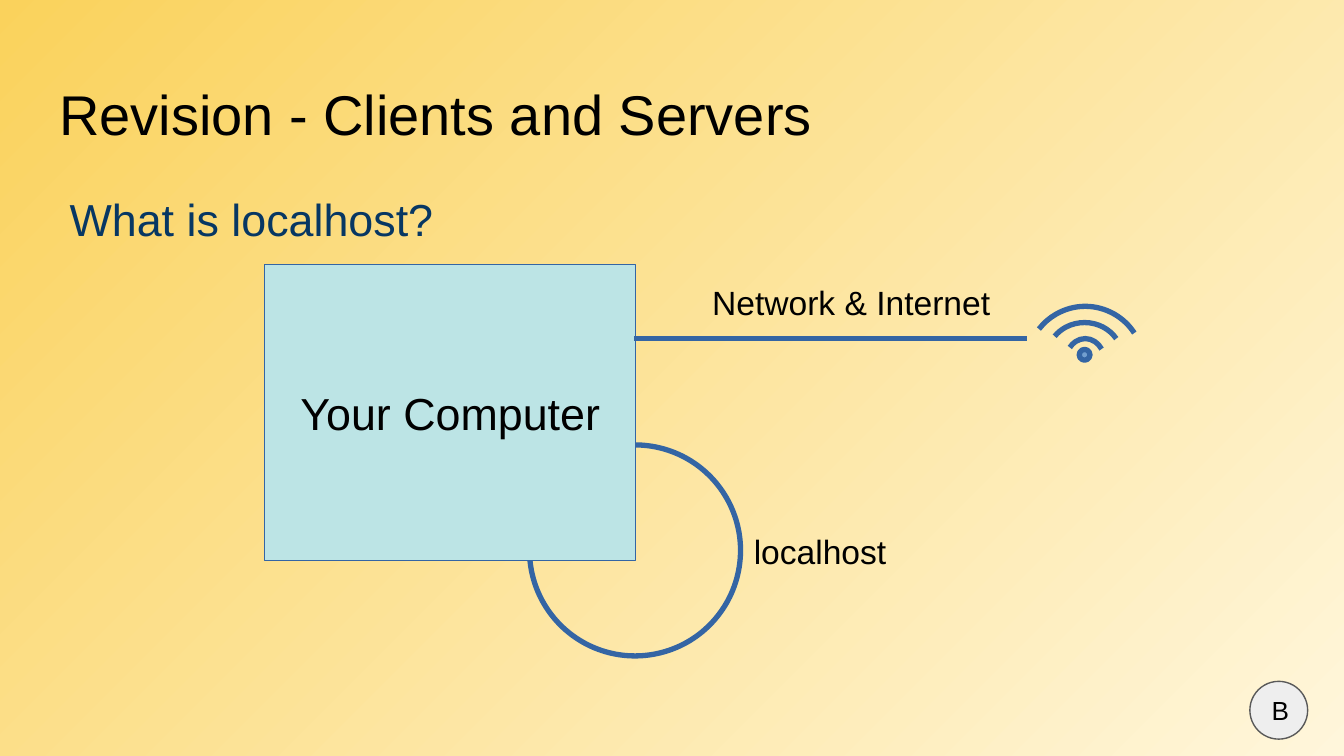
from pptx import Presentation
from pptx.dml.color import RGBColor
from pptx.enum import shapes, text
from pptx.oxml.ns import qn
from pptx.util import Inches, Pt
from lxml import etree

CREAM = RGBColor(0xFF, 0xF6, 0xDB)
AMBER = RGBColor(0xFA, 0xD2, 0x5C)
NAVY = RGBColor(0x07, 0x37, 0x63)
BLACK = RGBColor(0, 0, 0)
BLUE = RGBColor(0x34, 0x65, 0xA4)
LIGHT_BLUE = RGBColor(0x72, 0x9F, 0xCF)
AQUA = RGBColor(0xBC, 0xE4, 0xE5)
PALE_GRAY = RGBColor(0xEE, 0xEE, 0xEE)
DARK_GRAY = RGBColor(0x59, 0x59, 0x59)
THICK, THIN = 2.83, 0.75
SHAPE = shapes.MSO_SHAPE

prs = Presentation()
prs.slide_width = Inches(10)
prs.slide_height = Inches(10) * 9 // 16
s = prs.slides.add_slide(prs.slide_layouts[5])

bg = s.background.fill
bg.gradient()
bg.gradient_angle = 135
for stop, color in zip(bg.gradient_stops, (CREAM, AMBER)):
    stop.color.rgb = color


def add_shape(kind, box, fill, line, width):
    sp = s.shapes.add_shape(kind, *map(Inches, box))
    sp.shadow.inherit = False
    if fill is None:
        sp.fill.background()
    else:
        sp.fill.solid()
        sp.fill.fore_color.rgb = fill
    sp.line.color.rgb = line
    sp.line.width = Pt(width)
    return sp


def write(sp, words, size, color=BLACK, pad=0.05, align=text.PP_ALIGN.LEFT,
          anchor=text.MSO_ANCHOR.TOP):
    tf = sp.text_frame
    tf.word_wrap = True
    tf.auto_size = text.MSO_AUTO_SIZE.NONE
    tf.vertical_anchor = anchor
    tf.margin_left = tf.margin_right = Inches(0.1)
    tf.margin_top = tf.margin_bottom = Inches(pad)
    p = tf.paragraphs[0]
    p.alignment = align
    r = p.add_run()
    r.text = words
    r.font.name = "Arial"
    r.font.size = Pt(size)
    r.font.color.rgb = color


# Title
title = s.shapes.title
title.left, title.top, title.width, title.height = map(Inches, (0.34, 0.49, 9.32, 0.63))
write(title, "Revision - Clients and Servers", 30, pad=0.1)

# Loop back to the computer, partly hidden behind it
loop = add_shape(SHAPE.ARC, (3.94, 3.31, 1.57, 1.57), None, BLUE, THICK)
loop.adjustments[0], loop.adjustments[1] = 214.69, 161.41
loop.rotation = 267.9

# Text boxes
for box, words, size, color, pad in (
    ((0.42, 1.33, 9.32, 3.74), "What is localhost?", 24, NAVY, 0.1),
    ((5.2, 2.05, 2.28, 0.39), "Network & Internet", 18, BLACK, 0.05),
    ((5.51, 3.9, 2.28, 0.39), "localhost", 18, BLACK, 0.05),
):
    write(s.shapes.add_textbox(*map(Inches, box)), words, size, color, pad)

# Computer and its network line
computer = add_shape(SHAPE.RECTANGLE, (1.97, 1.97, 2.76, 2.2), AQUA, BLUE, THIN)
write(computer, "Your Computer", 24, align=text.PP_ALIGN.CENTER,
      anchor=text.MSO_ANCHOR.MIDDLE)

network = s.shapes.add_connector(shapes.MSO_CONNECTOR.STRAIGHT,
                                 *map(Inches, (4.72, 2.52, 7.64, 2.52)))
network.line.color.rgb = BLUE
network.line.width = Pt(THICK)
etree.SubElement(network._element.spPr, qn("a:effectLst"))

# Wireless signal: three waves above a dot
for box, start, end in (
    ((7.64, 2.28, 0.87, 0.87), 130.61, 196.24),
    ((7.79, 2.4, 0.56, 0.52), 129.22, 197.54),
    ((7.93, 2.52, 0.29, 0.34), 133.3, 193.67),
):
    wave = add_shape(SHAPE.ARC, box, None, BLUE, THICK)
    wave.adjustments[0], wave.adjustments[1] = start, end
add_shape(SHAPE.OVAL, (8.03, 2.6, 0.08, 0.08), LIGHT_BLUE, BLUE, THICK)

# Badge
badge = add_shape(SHAPE.OVAL, (9.3, 5.07, 0.43, 0.43), PALE_GRAY, DARK_GRAY, THIN)
write(badge, "B", 14, pad=0.2, anchor=text.MSO_ANCHOR.MIDDLE)

prs.save("out.pptx")
